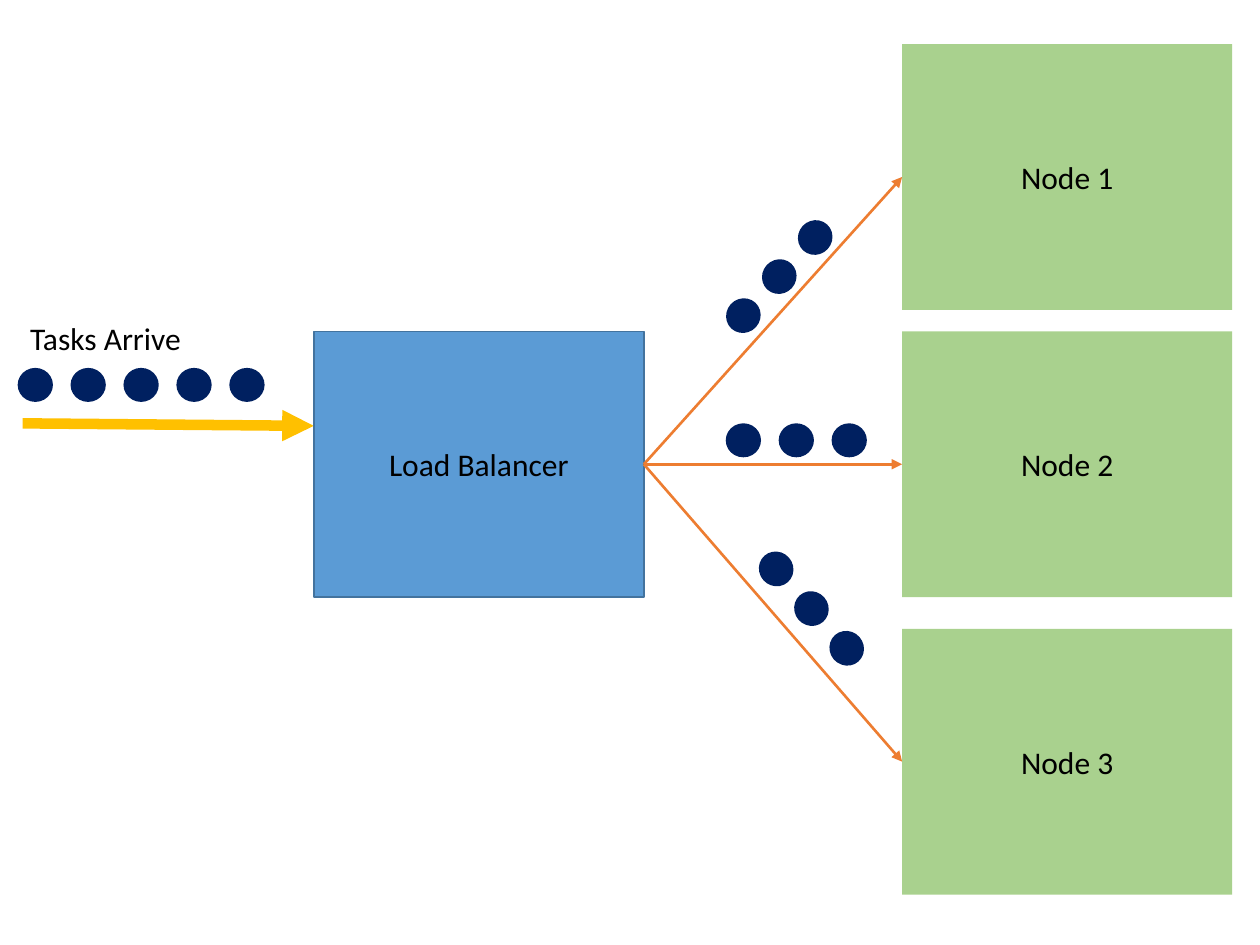
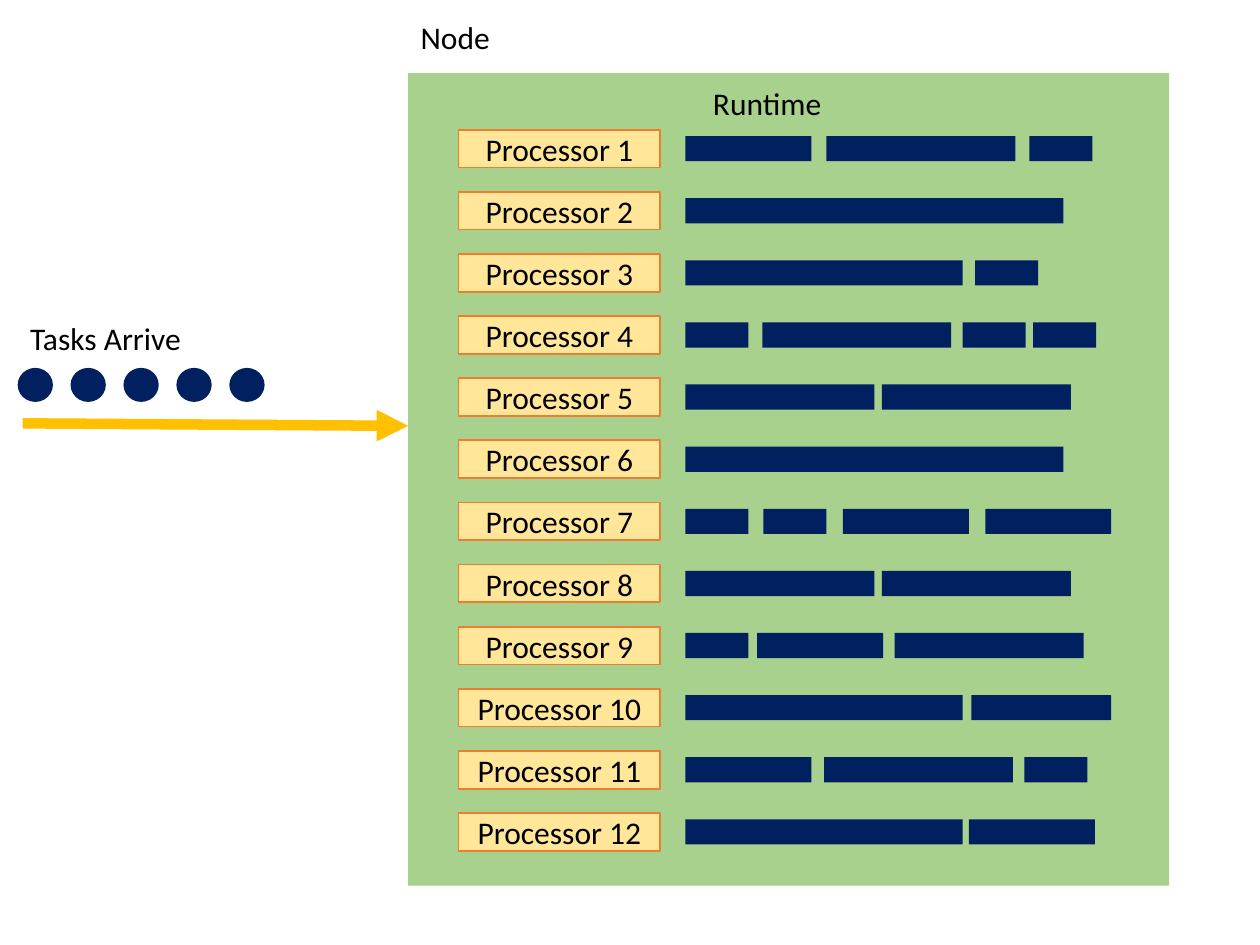
from dataclasses import dataclass
from typing import Optional

from lxml import etree
from pptx import Presentation
from pptx.dml.color import RGBColor
from pptx.enum.shapes import MSO_CONNECTOR, MSO_SHAPE
from pptx.enum.text import MSO_ANCHOR, MSO_AUTO_SIZE, PP_ALIGN
from pptx.oxml.ns import qn
from pptx.util import Emu, Inches, Pt

RECT, OVAL = MSO_SHAPE.RECTANGLE, MSO_SHAPE.OVAL
STRAIGHT = MSO_CONNECTOR.STRAIGHT
CENTER, LEFT = PP_ALIGN.CENTER, PP_ALIGN.LEFT
MIDDLE = MSO_ANCHOR.MIDDLE
GROW = MSO_AUTO_SIZE.SHAPE_TO_FIT_TEXT
LEFT_SIDE, RIGHT_SIDE = 1, 3  # connection sites of a rectangle

WIDTH, HEIGHT = Inches(10), Inches(7.5)
COLS, ROWS = 100, 75


@dataclass(frozen=True)
class Theme:
    """Colours, font and sizes shared by both slides."""
    task: str = "002060"
    node: str = "A9D18E"
    balancer: str = "5B9BD5"
    balancer_edge: str = "43739E"
    processor: str = "FFE699"
    route: str = "ED7D31"
    arrival: str = "FFC000"
    text: str = "000000"
    font: str = "Calibri"
    size: float = 18
    edge_width: float = 1
    route_width: float = 1.5
    arrival_width: float = 6


@dataclass(frozen=True)
class Box:
    """A rectangle in grid columns and rows."""
    x: float
    y: float
    w: float
    h: float


@dataclass(frozen=True)
class Queue:
    """A row of task dots: first place, step to the next, count and tilt."""
    x: float
    y: float
    dx: float
    dy: float
    count: int
    tilt: float = 0


THEME = Theme()
DOT_W, DOT_H, DOT_STEP = 2.8, 2.7, 4.2
ARRIVALS = Queue(1.4, 29.2, DOT_STEP, 0, 5)
ROUTED = (
    Queue(57.6, 33.6, DOT_STEP, 0, 3),
    Queue(57.6, 23.7, 2.85, -3.1, 3, 312.5),
    Queue(60.2, 43.8, 2.8, 3.15, 3, 48.5),
)
BALANCER = Box(24.9, 26.3, 26.2, 21.1)
NODE_X, NODE_TOPS = 71.6, (3.5, 26.3, 49.9)
NODE = Box(32.4, 5.8, 60.4, 64.5)
LABEL_W, LABEL_H = 14.1, 4
PROCESSOR = Box(36.4, 10.3, 16, 3)
PROCESSOR_STEP = 4.93
BAR_INSET, BAR_H = 0.5, 2
# (start column, length) of each task run by a processor
SCHEDULE = (
    ((54.4, 10), (65.6, 15), (81.7, 5)),
    ((54.4, 30),),
    ((54.4, 22), (77.4, 5)),
    ((54.4, 5), (60.5, 15), (76.4, 5), (82, 5)),
    ((54.4, 15), (70, 15)),
    ((54.4, 30),),
    ((54.4, 5), (60.6, 5), (66.9, 10), (78.2, 10)),
    ((54.4, 15), (70, 15)),
    ((54.4, 5), (60.1, 10), (71, 15)),
    ((54.4, 22), (77.1, 11.1)),
    ((54.4, 10), (65.4, 15), (81.3, 5)),
    ((54.4, 22), (76.9, 10)),
)


def col(n: float) -> Emu:
    """Turn grid columns into a length."""
    return Emu(round(WIDTH * n / COLS))


def row(n: float) -> Emu:
    """Turn grid rows into a length."""
    return Emu(round(HEIGHT * n / ROWS))


def place(box: Box) -> tuple:
    """Give left, top, width and height of a box."""
    return col(box.x), row(box.y), col(box.w), row(box.h)


def write(tf, text: str, align) -> None:
    """Put one styled line of text into a text frame."""
    tf.text = text
    p = tf.paragraphs[0]
    p.alignment = align
    font = p.runs[0].font
    font.name, font.size = THEME.font, Pt(THEME.size)
    font.color.rgb = RGBColor.from_string(THEME.text)


def add_block(shapes, kind, box: Box, fill: str, text: str = "",
              edge: Optional[str] = None):
    """Draw a filled shape with optional outline and centred text."""
    sp = shapes.add_shape(kind, *place(box))
    sp.shadow.inherit = False
    sp.fill.solid()
    sp.fill.fore_color.rgb = RGBColor.from_string(fill)
    if edge:
        sp.line.color.rgb = RGBColor.from_string(edge)
        sp.line.width = Pt(THEME.edge_width)
    else:
        sp.line.fill.background()
    if text:
        sp.text_frame.vertical_anchor = MIDDLE
        write(sp.text_frame, text, CENTER)
    return sp


def add_label(s, x: float, y: float, text: str) -> None:
    """Draw a left-aligned caption."""
    tf = s.shapes.add_textbox(*place(Box(x, y, LABEL_W, LABEL_H))).text_frame
    tf.word_wrap = True
    tf.auto_size = GROW
    write(tf, text, LEFT)


def add_arrow(s, x1: float, y1: float, x2: float, y2: float,
              color: str, width: float):
    """Draw a straight arrow between two grid points."""
    line = s.shapes.add_connector(STRAIGHT, col(x1), row(y1), col(x2), row(y2))
    line.line.color.rgb = RGBColor.from_string(color)
    line.line.width = Pt(width)
    props = line._element.spPr
    etree.SubElement(props.find(qn("a:ln")), qn("a:tailEnd"), type="triangle")
    etree.SubElement(props, qn("a:effectLst"))
    return line


def add_queue(s, queue: Queue) -> None:
    """Draw a queue of dots, grouped when it is tilted."""
    shapes = s.shapes.add_group_shape().shapes if queue.tilt else s.shapes
    for i in range(queue.count):
        box = Box(queue.x + i * queue.dx, queue.y + i * queue.dy, DOT_W, DOT_H)
        add_block(shapes, OVAL, box, THEME.task).rotation = queue.tilt


def add_arrivals(s, end: float) -> None:
    """Draw the arriving tasks and their arrow up to a column."""
    add_arrow(s, 1.8, 33.6, end, 33.8, THEME.arrival, THEME.arrival_width)
    add_queue(s, ARRIVALS)
    add_label(s, 1.4, 24.8, "Tasks Arrive")


def build_balancing(s) -> None:
    """Show the balancer sending tasks to the nodes."""
    add_arrivals(s, BALANCER.x)
    balancer = add_block(s.shapes, RECT, BALANCER, THEME.balancer,
                         "Load Balancer", THEME.balancer_edge)
    for i, top in enumerate(NODE_TOPS, 1):
        box = Box(NODE_X, top, BALANCER.w, BALANCER.h)
        node = add_block(s.shapes, RECT, box, THEME.node, f"Node {i}")
        route = add_arrow(s, BALANCER.x + BALANCER.w, BALANCER.y + BALANCER.h / 2,
                          NODE_X, top + box.h / 2, THEME.route, THEME.route_width)
        route.begin_connect(balancer, RIGHT_SIDE)
        route.end_connect(node, LEFT_SIDE)
    for queue in ROUTED:
        add_queue(s, queue)


def build_node(s) -> None:
    """Show the tasks run by each processor of a node."""
    add_block(s.shapes, RECT, NODE, THEME.node)
    add_arrivals(s, NODE.x)
    add_label(s, NODE.x, 0.9, "Node")
    add_label(s, 55.6, 6.2, "Runtime")
    for i, tasks in enumerate(SCHEDULE):
        top = PROCESSOR.y + i * PROCESSOR_STEP
        add_block(s.shapes, RECT, Box(PROCESSOR.x, top, PROCESSOR.w, PROCESSOR.h),
                  THEME.processor, f"Processor {i + 1}", THEME.route)
        for start, length in tasks:
            add_block(s.shapes, RECT, Box(start, top + BAR_INSET, length, BAR_H),
                      THEME.task)


def main() -> None:
    """Build and save the presentation."""
    prs = Presentation()
    prs.slide_width, prs.slide_height = WIDTH, HEIGHT
    for build in (build_balancing, build_node):
        build(prs.slides.add_slide(prs.slide_layouts[6]))
    prs.save("out.pptx")


main()
